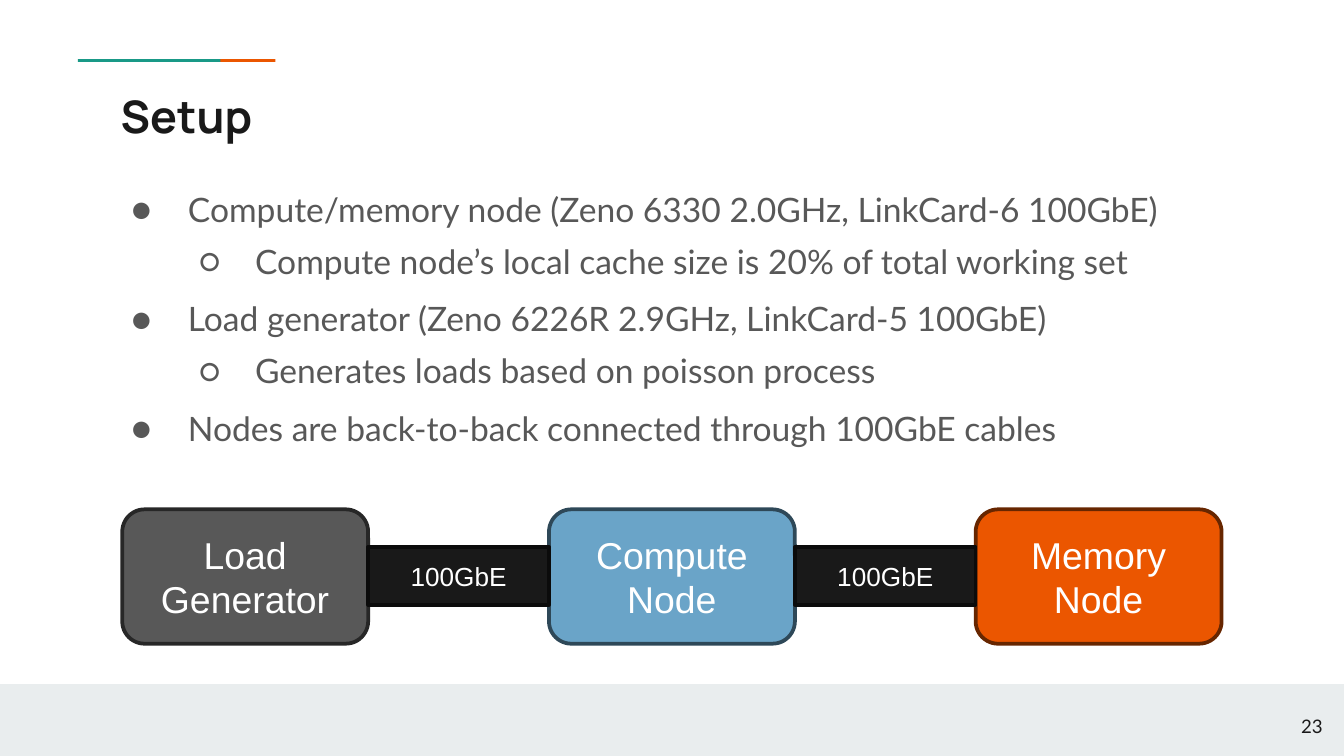
from lxml import etree
from pptx import Presentation
from pptx.dml.color import RGBColor
from pptx.enum.shapes import MSO_SHAPE
from pptx.enum.text import MSO_ANCHOR, PP_ALIGN
from pptx.oxml.ns import qn
from pptx.util import Inches, Pt

RECTANGLE = MSO_SHAPE.RECTANGLE
ROUNDED = MSO_SHAPE.ROUNDED_RECTANGLE
TOP, MIDDLE = MSO_ANCHOR.TOP, MSO_ANCHOR.MIDDLE
LEFT, CENTER, RIGHT = PP_ALIGN.LEFT, PP_ALIGN.CENTER, PP_ALIGN.RIGHT

WHITE = RGBColor(0xFF, 0xFF, 0xFF)
INK = RGBColor(0x19, 0x19, 0x19)
CABLE_EDGE = RGBColor(0x0B, 0x0B, 0x0B)
GRAY = RGBColor(0x58, 0x58, 0x58)
GRAY_EDGE = RGBColor(0x27, 0x27, 0x27)
BLUE = RGBColor(0x6A, 0xA4, 0xC8)
BLUE_EDGE = RGBColor(0x2E, 0x48, 0x58)
ORANGE = RGBColor(0xEB, 0x56, 0x00)
ORANGE_EDGE = RGBColor(0x67, 0x26, 0x00)
GREEN = RGBColor(0x19, 0x99, 0x87)
FOOTER = RGBColor(0xE9, 0xED, 0xEE)

TITLE = "Setup"
PAGE_NUMBER = "23"
BULLETS = [
    (0, "Compute/memory node (Zeno 6330 2.0GHz, LinkCard-6 100GbE)"),
    (1, "Compute node’s local cache size is 20% of total working set"),
    (0, "Load generator (Zeno 6226R 2.9GHz, LinkCard-5 100GbE)"),
    (1, "Generates loads based on poisson process"),
    (0, "Nodes are back-to-back connected through 100GbE cables"),
]
LEVELS = [("●", 0.5, 3), ("○", 1, 6)]
NODES = [
    ("Load Generator", GRAY, GRAY_EDGE),
    ("Compute Node", BLUE, BLUE_EDGE),
    ("Memory Node", ORANGE, ORANGE_EDGE),
]
CABLE = "100GbE"
ACCENTS = [(0.99, ORANGE), (0.58, GREEN)]

SLIDE_WIDTH = 10
SLIDE_HEIGHT = SLIDE_WIDTH * 9 / 16
FOOTER_TOP = 5.09
FIRST_NODE, LAST_NODE = 0.91, 7.26
NODE_TOP, NODE_WIDTH, NODE_HEIGHT = 3.79, 1.83, 1
CABLE_TOP, CABLE_HEIGHT = 4.07, 0.43


def write(paragraph, text, size, font, color, align=LEFT, bold=False):
    paragraph.text = text
    paragraph.alignment = align
    paragraph.font.size = Pt(size)
    paragraph.font.name = font
    paragraph.font.color.rgb = color
    paragraph.font.bold = bold


def add_box(slide, kind, bounds, fill, edge=None, text="", size=20):
    shape = slide.shapes.add_shape(kind, *map(Inches, bounds))
    shape.shadow.inherit = False
    shape.fill.solid()
    shape.fill.fore_color.rgb = fill
    if edge is None:
        shape.line.fill.background()
    else:
        shape.line.color.rgb = edge
        shape.line.width = Pt(2)
    if text:
        shape.text_frame.vertical_anchor = MIDDLE
        write(shape.text_frame.paragraphs[0], text, size, "Arial", WHITE, CENTER)


def add_text_frame(slide, bounds, anchor=TOP):
    frame = slide.shapes.add_textbox(*map(Inches, bounds)).text_frame
    frame.word_wrap = True
    frame.vertical_anchor = anchor
    frame.margin_left = frame.margin_right = Inches(0.1)
    frame.margin_top = frame.margin_bottom = Inches(0.1)
    return frame


def set_bullet(paragraph, mark, indent):
    properties = paragraph._p.get_or_add_pPr()
    properties.set("marL", str(Inches(indent)))
    properties.set("indent", str(Inches(-0.42)))
    color = etree.Element(qn("a:buClr"))
    etree.SubElement(color, qn("a:srgbClr"), val=str(GRAY))
    size = etree.Element(qn("a:buSzPts"), val="1800")
    font = etree.Element(qn("a:buFont"), typeface="Lato")
    character = etree.Element(qn("a:buChar"), char=mark)
    for element in (color, size, font, character):
        properties.find(qn("a:defRPr")).addprevious(element)


def add_bullets(slide):
    frame = add_text_frame(slide, (0.8, 1.26, 8.41, 2.25))
    for index, (level, text) in enumerate(BULLETS):
        paragraph = frame.add_paragraph() if index else frame.paragraphs[0]
        mark, indent, space_after = LEVELS[level]
        write(paragraph, text, 18, "Lato", GRAY)
        paragraph.level = level
        paragraph.line_spacing = 1.15
        paragraph.space_after = Pt(space_after)
        set_bullet(paragraph, mark, indent)


def add_diagram(slide):
    pitch = (LAST_NODE - FIRST_NODE) / (len(NODES) - 1)
    lefts = [FIRST_NODE + index * pitch for index in range(len(NODES))]
    for left, (name, fill, edge) in zip(lefts, NODES):
        bounds = (left, NODE_TOP, NODE_WIDTH, NODE_HEIGHT)
        add_box(slide, ROUNDED, bounds, fill, edge, name)
    for left in lefts[:-1]:
        bounds = (left + NODE_WIDTH, CABLE_TOP, pitch - NODE_WIDTH, CABLE_HEIGHT)
        add_box(slide, RECTANGLE, bounds, INK, CABLE_EDGE, CABLE, 14)


def main():
    presentation = Presentation()
    presentation.slide_width = Inches(SLIDE_WIDTH)
    presentation.slide_height = Inches(SLIDE_HEIGHT)
    slide = presentation.slides.add_slide(presentation.slide_layouts[6])

    for left, color in ACCENTS:
        add_box(slide, RECTANGLE, (left, 0.44, 1.06, 0.02), color)
    footer = (0, FOOTER_TOP, SLIDE_WIDTH, SLIDE_HEIGHT - FOOTER_TOP)
    add_box(slide, RECTANGLE, footer, FOOTER)

    title = add_text_frame(slide, (0.8, 0.56, 8.41, 0.59))
    write(title.paragraphs[0], TITLE, 24, "Manrope", INK, bold=True)
    add_bullets(slide)
    number = add_text_frame(slide, (9.34, 5.19, 0.6, 0.43), MIDDLE)
    write(number.paragraphs[0], PAGE_NUMBER, 10, "Lato", INK, RIGHT)
    add_diagram(slide)

    presentation.save("out.pptx")


if __name__ == "__main__":
    main()
